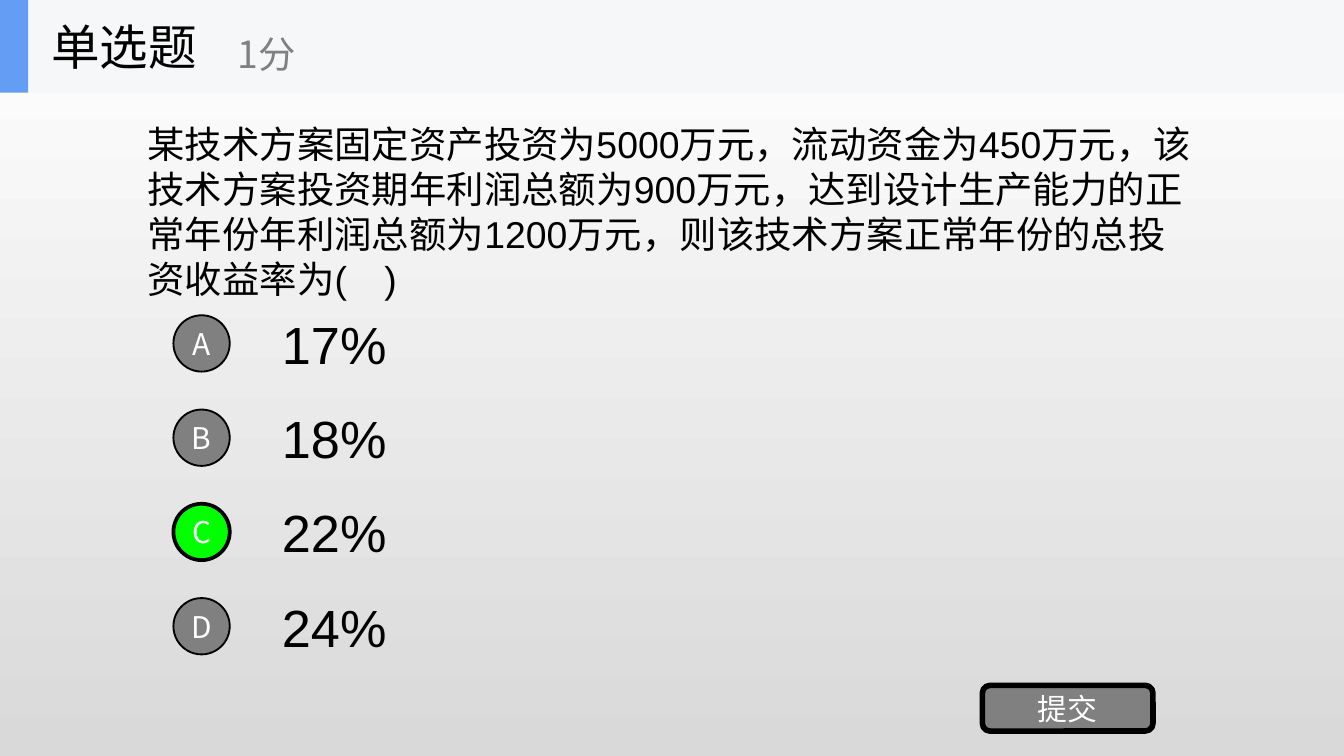
from lxml.etree import SubElement
from pptx import Presentation
from pptx.dml.color import RGBColor
from pptx.enum.shapes import MSO_SHAPE
from pptx.enum.text import MSO_ANCHOR, PP_ALIGN
from pptx.oxml.ns import qn
from pptx.util import Pt

HEAD = "单选题"
SCORE = "1分"
QUERY = ("某技术方案固定资产投资为5000万元，流动资金为450万元，"
         "该技术方案投资期年利润总额为900万元，"
         "达到设计生产能力的正常年份年利润总额为1200万元，"
         "则该技术方案正常年份的总投资收益率为(　)")
CHOICES = [("A", "17%"), ("B", "18%"), ("C", "22%"), ("D", "24%")]
ANSWER = "C"
SUBMIT = "提交"

SANS, LATIN = "Noto Sans CJK SC", "Arial"
BLACK, WHITE, GRAY, GREEN = "000000", "FFFFFF", "808080", "00FF00"
WIDE, HIGH, BAND = 720, 405, 49.7
TOP, STEP, ROW, DOT = 164.9, 50.5, 38.2, 30.2


def color(code):
    return RGBColor.from_string(code)


def place(shape, box):
    shape.left, shape.top, shape.width, shape.height = map(Pt, box)


def write(shape, text, size, font, ink, align=PP_ALIGN.LEFT, pad=7.2):
    frame = shape.text_frame
    frame.word_wrap = True
    frame.vertical_anchor = MSO_ANCHOR.MIDDLE
    frame.margin_left = frame.margin_right = Pt(pad)
    frame.margin_top = frame.margin_bottom = Pt(pad / 2)
    para = frame.paragraphs[0]
    para.alignment = align
    run = para.add_run()
    run.text = text
    run.font.size = Pt(size)
    run.font.name = font
    run.font.color.rgb = color(ink)
    SubElement(run.font._element, qn("a:ea"), typeface=SANS)


def label(box, text, size, font, ink):
    write(slide.shapes.add_textbox(*map(Pt, box)), text, size, font, ink)


def block(kind, box, fill, line=0):
    shape = slide.shapes.add_shape(kind, *map(Pt, box))
    shape.shadow.inherit = False
    shape.fill.solid()
    shape.fill.fore_color.rgb = color(fill)
    if line:
        shape.line.color.rgb = color(BLACK)
        shape.line.width = Pt(line)
    else:
        shape.line.fill.background()
    return shape


def button(kind, box, fill, line, text):
    shape = block(kind, box, fill, line)
    write(shape, text, 16, SANS, WHITE, PP_ALIGN.CENTER, 0)


deck = Presentation()
deck.slide_width, deck.slide_height = Pt(WIDE), Pt(HIGH)
slide = deck.slides.add_slide(deck.slide_layouts[5])

back = slide.background.fill
back.gradient()
back.gradient_angle = 270
for stop, (spot, code) in zip(back.gradient_stops, [(0, WHITE), (1, "D9D9D9")]):
    stop.position = spot
    stop.color.rgb = color(code)

label((72, BAND, 576, 126.7), QUERY, 20, LATIN, BLACK)

for i, (mark, value) in enumerate(CHOICES):
    y = TOP + i * STEP
    label((144, y, 504, ROW), value, 28, LATIN, BLACK)
    fill, line = (GREEN, 2) if mark == ANSWER else (GRAY, 1)
    button(MSO_SHAPE.OVAL, (92.9, y + (ROW - DOT) / 2, DOT, DOT), fill, line, mark)

button(MSO_SHAPE.ROUNDED_RECTANGLE, (526.3, 367.2, 91.4, 24.5), GRAY, 3, SUBMIT)

block(MSO_SHAPE.RECTANGLE, (0, 0, WIDE, BAND), "F6F7F8")
block(MSO_SHAPE.RECTANGLE, (0, 0, 15.1, BAND), "639EF4")
title = slide.shapes.title
slide.shapes._spTree.append(title._element)
place(title, (20.2, 0, 149.8, BAND))
write(title, HEAD, 26, SANS, BLACK)
label((120.2, 8.6, 180, 40.3), SCORE, 20, SANS, GRAY)

deck.save("out.pptx")
